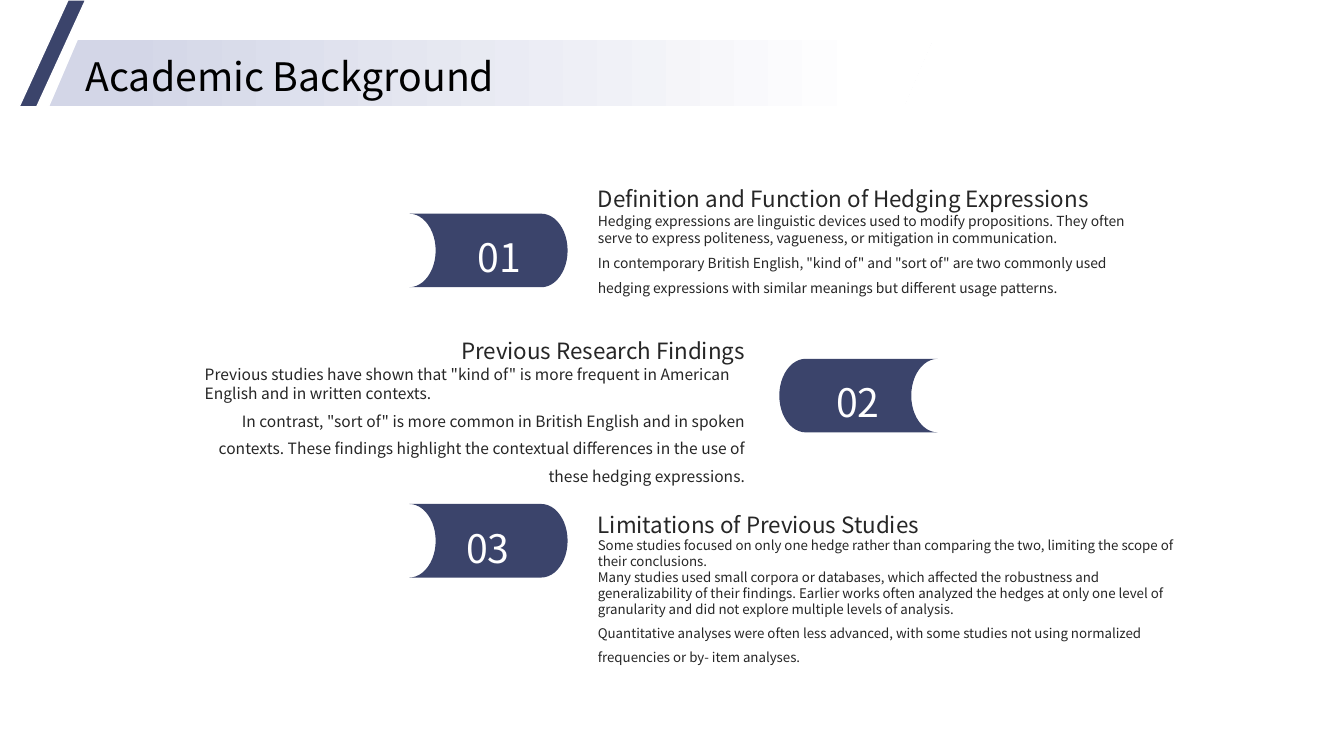
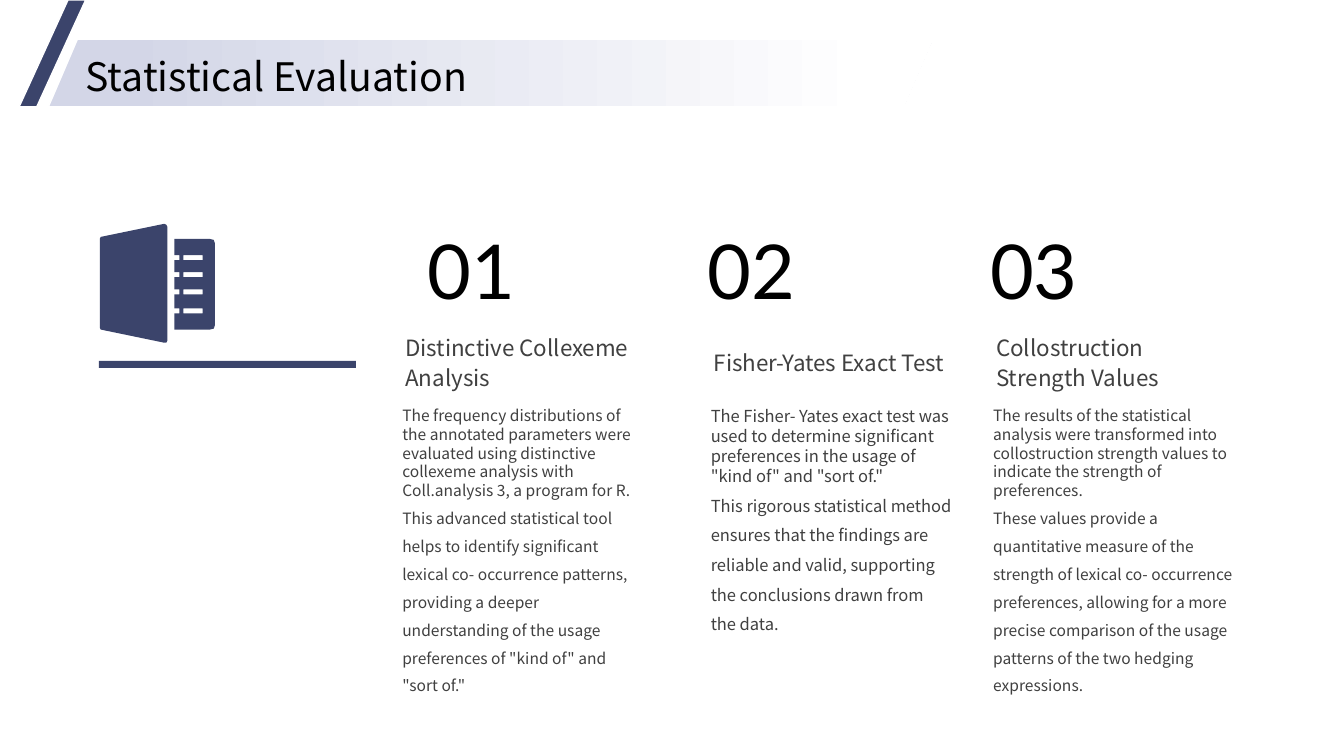
from pptx import Presentation
from pptx.dml.color import RGBColor
from pptx.enum.shapes import MSO_SHAPE
from pptx.enum.text import MSO_ANCHOR, PP_ALIGN
from pptx.util import Inches, Pt

# Shared style
NAVY, PALE, WHITE, BLACK = "3B446B", "D3D6E7", "FFFFFF", "000000"
INK, GREY = "262626", "404040"
SANS, NUMERAL = "Noto Sans CJK SC", "Lato"
LINE_HEIGHT = 1.2  # single line spacing, in multiples of the text size

# Content of slide 1: each body is a list of paragraphs, the last one set wider
BACKGROUND_TITLE = "Academic Background"
BACKGROUND = [
    dict(number="01", number_shift=0.41, side="right", heading_top=1.69,
         body_top=2.11, body_size=(5.36, 1.12), points=9.9,
         heading="Definition and Function of Hedging Expressions",
         body=["Hedging expressions are linguistic devices used to modify propositions. "
               "They often serve to express politeness, vagueness, or mitigation in "
               "communication.",
               'In contemporary British English, "kind of" and "sort of" are two commonly '
               "used hedging expressions with similar meanings but different usage "
               "patterns."]),
    dict(number="02", number_shift=0.3, side="left", heading_top=3.2,
         body_top=3.62, body_size=(5.36, 1.12), points=11.1,
         heading="Previous Research Findings",
         body=['Previous studies have shown that "kind of" is more frequent in American '
               "English and in written contexts.",
               'In contrast, "sort of" is more common in British English and in spoken '
               "contexts. These findings highlight the contextual differences in the use "
               "of these hedging expressions."]),
    dict(number="03", number_shift=0.3, side="right", heading_top=4.93,
         body_top=5.33, body_size=(5.87, 1.48), points=9.5,
         heading="Limitations of Previous Studies",
         body=["Some studies focused on only one hedge rather than comparing the two, "
               "limiting the scope of their conclusions.",
               "Many studies used small corpora or databases, which affected the "
               "robustness and generalizability of their findings. Earlier works often "
               "analyzed the hedges at only one level of granularity and did not explore "
               "multiple levels of analysis.",
               "Quantitative analyses were often less advanced, with some studies not "
               "using normalized frequencies or by- item analyses."]),
]
TAG_TOP, TAG_STEP, TAG_SIZE = 2.12, 1.44, (1.57, 0.73)
SIDES = {  # which side of the tag the text stands on
    "right": dict(tag_left=4.06, text_left=5.93, align=PP_ALIGN.LEFT, flip=True),
    "left": dict(tag_left=7.73, text_left=2.03, align=PP_ALIGN.RIGHT, flip=False),
}

# Content of slide 2
EVALUATION_TITLE = "Statistical Evaluation"
EVALUATION = [
    dict(number="01", number_left=4.24, left=3.95, points=11.1,
         heading="Distinctive Collexeme Analysis",
         body=["The frequency distributions of the annotated parameters were evaluated "
               "using distinctive collexeme analysis with Coll.analysis 3, a program "
               "for R.",
               "This advanced statistical tool helps to identify significant lexical co- "
               "occurrence patterns, providing a deeper understanding of the usage "
               'preferences of "kind of" and "sort of."']),
    dict(number="02", number_left=7.02, left=7.01, points=11.8,
         heading="Fisher-Yates Exact Test",
         body=["The Fisher- Yates exact test was used to determine significant "
               'preferences in the usage of "kind of" and "sort of."',
               "This rigorous statistical method ensures that the findings are reliable "
               "and valid, supporting the conclusions drawn from the data."]),
    dict(number="03", number_left=9.82, left=9.81, points=11.1,
         heading="Collostruction Strength Values",
         body=["The results of the statistical analysis were transformed into "
               "collostruction strength values to indicate the strength of preferences.",
               "These values provide a quantitative measure of the strength of lexical "
               "co- occurrence preferences, allowing for a more precise comparison of "
               "the usage patterns of the two hedging expressions."]),
]

# Notebook icon: cover, ringed pages and the text lines cut out of the pages
RING_TOPS = (2.53, 2.7, 2.87, 3.06)
RING_HEIGHT = 0.05
COVER = [(0.99, 2.37), (1, 2.35), (1.63, 2.22), (1.65, 2.23), (1.66, 2.25),
         (1.66, 3.38), (1.65, 3.4), (1.63, 3.4), (1, 3.27), (0.99, 3.25)]
PAGES = [(1.73, 2.37), (2.08, 2.37), (2.12, 2.38), (2.13, 2.41),
         (2.13, 3.23), (2.12, 3.26), (2.08, 3.27), (1.73, 3.27)]


def color(hex_string):
    return RGBColor.from_string(hex_string)


def add_text(slide, paragraphs, left, top, width, height, *, size, fill=BLACK,
             font=SANS, spacing=1, align=PP_ALIGN.LEFT, anchor=MSO_ANCHOR.TOP,
             inset=(0, 0)):
    """Spacing and alignment apply to the last paragraph; earlier ones stay plain."""
    box = slide.shapes.add_textbox(Inches(left), Inches(top), Inches(width), Inches(height))
    frame = box.text_frame
    frame.word_wrap = True
    frame.vertical_anchor = anchor
    frame.margin_left = frame.margin_right = Inches(inset[0])
    frame.margin_top = frame.margin_bottom = Inches(inset[1])
    for index, text in enumerate(paragraphs):
        paragraph = frame.paragraphs[0] if index == 0 else frame.add_paragraph()
        last = index == len(paragraphs) - 1
        paragraph.alignment = align if last else PP_ALIGN.LEFT
        paragraph.line_spacing = Pt(size * LINE_HEIGHT * (spacing if last else 1))
        run = paragraph.add_run()
        run.text = text
        run.font.size = Pt(size)
        run.font.name = font
        run.font.color.rgb = color(fill)


def paint(shape, fill=NAVY, outline=None):
    shape.shadow.inherit = False
    if fill:
        shape.fill.solid()
        shape.fill.fore_color.rgb = color(fill)
    if outline:
        shape.line.color.rgb = color(outline)
        shape.line.width = Pt(1)
    else:
        shape.line.fill.background()


def add_block(slide, kind, left, top, width, height, *, slant=None, **look):
    block = slide.shapes.add_shape(kind, Inches(left), Inches(top),
                                   Inches(width), Inches(height))
    if slant is not None:
        block.adjustments[0] = slant
    paint(block, **look)
    return block


def add_header(slide, title):
    # Fading band, title and slanted bar
    band = add_block(slide, MSO_SHAPE.PARALLELOGRAM, 0.48, 0.39, 8.77, 0.67,
                     slant=0.429, fill=None, outline=WHITE)
    band.fill.gradient()
    band.fill.gradient_angle = 0
    for stop, (position, shade) in zip(band.fill.gradient_stops,
                                       [(0.08, PALE), (0.93, WHITE)]):
        stop.position = position
        stop.color.rgb = color(shade)
    add_text(slide, [title], 0.85, 0.47, 6.47, 0.51, size=28, spacing=1.1,
             anchor=MSO_ANCHOR.MIDDLE)
    add_block(slide, MSO_SHAPE.PARALLELOGRAM, 0.19, 0, 0.66, 1.06,
              slant=0.735, outline=WHITE)


def add_notebook(slide):
    notches = [(x, y) for top in reversed(RING_TOPS)
               for x, y in ((1.73, top + RING_HEIGHT), (1.78, top + RING_HEIGHT),
                            (1.78, top), (1.73, top))]
    cutouts = [[(1.82, top), (1.82, top + RING_HEIGHT),
                (2.01, top + RING_HEIGHT), (2.01, top)] for top in RING_TOPS]
    contours = [[(Inches(x), Inches(y)) for x, y in contour]
                for contour in (COVER, PAGES + notches, *cutouts)]
    builder = slide.shapes.build_freeform(*contours[0][0])
    builder.add_line_segments(contours[0][1:], close=True)
    for contour in contours[1:]:
        builder.move_to(*contour[0])
        builder.add_line_segments(contour[1:], close=True)
    paint(builder.convert_to_shape())


def build_background(slide):
    add_header(slide, BACKGROUND_TITLE)
    for row, item in enumerate(BACKGROUND):
        side = SIDES[item["side"]]
        tag_top = TAG_TOP + row * TAG_STEP
        # Numbered tag
        tag = add_block(slide, MSO_SHAPE.FLOWCHART_STORED_DATA,
                        side["tag_left"], tag_top, *TAG_SIZE)
        if side["flip"]:
            tag._element.spPr.xfrm.set("flipH", "1")
        add_text(slide, [item["number"]], side["tag_left"] + item["number_shift"],
                 tag_top - 0.05, 0.96, 0.82, size=28, fill=WHITE, spacing=1.3,
                 align=PP_ALIGN.CENTER, anchor=MSO_ANCHOR.MIDDLE)
        # Heading and body
        add_text(slide, [item["heading"]], side["text_left"], item["heading_top"],
                 5.36, 0.41, size=16, fill=INK, spacing=1.3, align=side["align"],
                 anchor=MSO_ANCHOR.BOTTOM)
        add_text(slide, item["body"], side["text_left"], item["body_top"],
                 *item["body_size"], size=item["points"], fill=INK, spacing=1.5,
                 align=side["align"])


def build_evaluation(slide):
    add_header(slide, EVALUATION_TITLE)
    add_notebook(slide)
    add_block(slide, MSO_SHAPE.RECTANGLE, 0.98, 3.58, 2.55, 0.07)
    for item in EVALUATION:
        add_text(slide, [item["number"]], item["number_left"], 2.22, 1.53, 0.75,
                 size=54, font=NUMERAL)
        add_text(slide, [item["heading"]], item["left"], 3.16, 2.48, 0.85, size=16,
                 fill=GREY, spacing=1.1, anchor=MSO_ANCHOR.MIDDLE, inset=(0.07, 0.04))
        add_text(slide, item["body"], item["left"], 3.99, 2.47, 2.88,
                 size=item["points"], fill=GREY, spacing=1.5, inset=(0.04, 0.04))


def main():
    deck = Presentation()
    deck.slide_width, deck.slide_height = Inches(13.33), Inches(7.5)
    blank = deck.slide_layouts[6]
    for build in (build_background, build_evaluation):
        build(deck.slides.add_slide(blank))
    deck.save("out.pptx")


if __name__ == "__main__":
    main()
